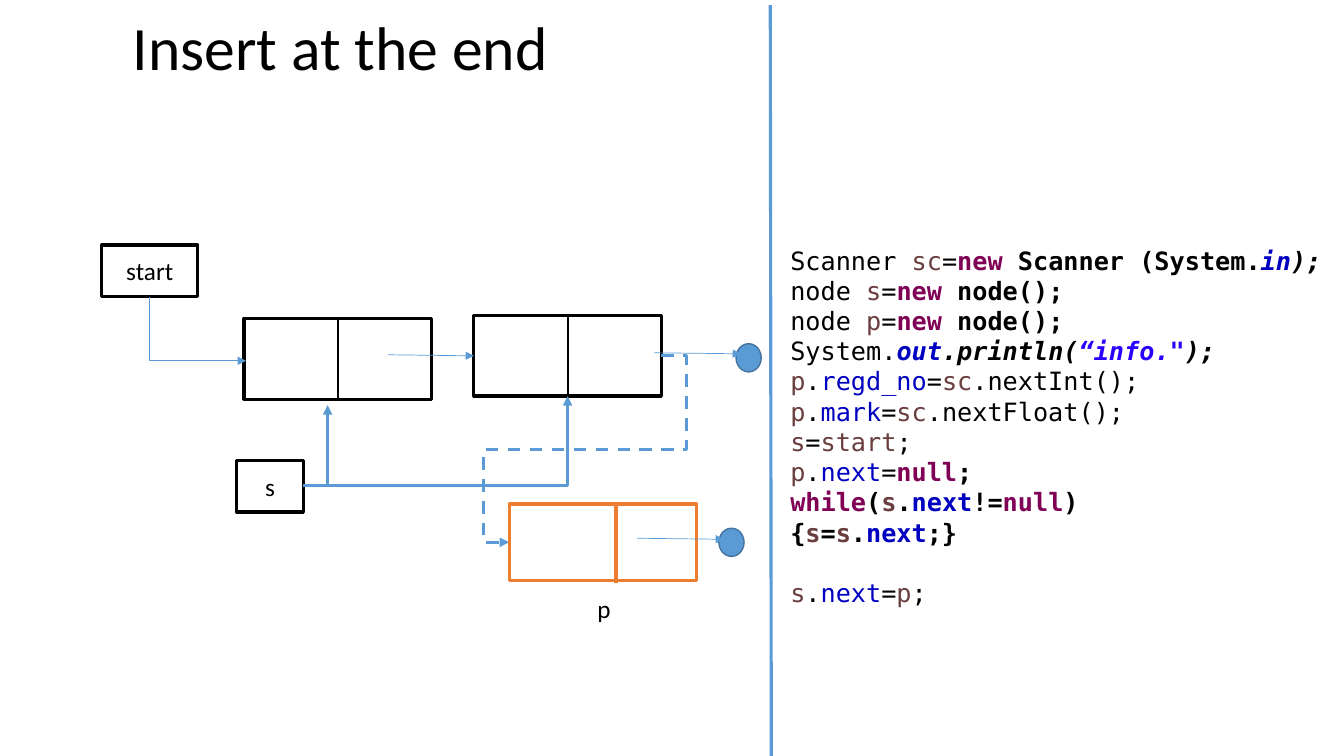
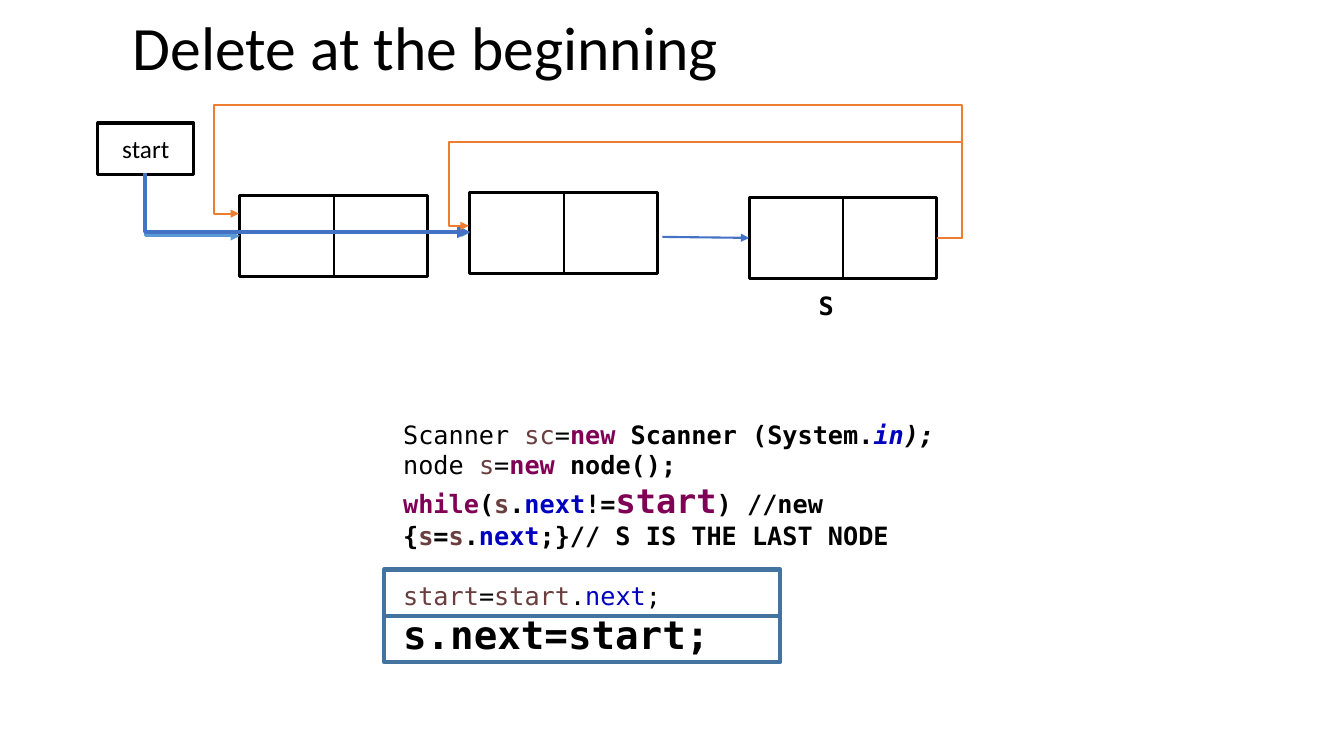
from dataclasses import dataclass

from lxml import etree
from pptx import Presentation
from pptx.dml.color import RGBColor
from pptx.enum.dml import MSO_LINE
from pptx.enum.shapes import MSO_CONNECTOR, MSO_SHAPE
from pptx.enum.text import MSO_ANCHOR, MSO_AUTO_SIZE, PP_ALIGN
from pptx.oxml.ns import qn
from pptx.util import Inches, Pt

RECTANGLE, OVAL = MSO_SHAPE.RECTANGLE, MSO_SHAPE.OVAL
STRAIGHT, ELBOW = MSO_CONNECTOR.STRAIGHT, MSO_CONNECTOR.ELBOW
DASH = MSO_LINE.DASH
MIDDLE, CENTER = MSO_ANCHOR.MIDDLE, PP_ALIGN.CENTER
GROW = MSO_AUTO_SIZE.SHAPE_TO_FIT_TEXT


@dataclass(frozen=True)
class Theme:
    black: str = "000000"
    white: str = "FFFFFF"
    sky: str = "5B9BD5"
    steel: str = "43739E"
    blue: str = "4472C4"
    orange: str = "ED7D31"
    variable: str = "6A3E3E"
    keyword: str = "7F0055"
    field: str = "0000C0"
    string: str = "2A00FF"
    body_font: str = "Calibri"
    code_font: str = "DejaVu Sans Mono"
    title_size: int = 44
    text_size: int = 18
    large_size: int = 24
    final_size: int = 28
    code_gap: float = 21.6
    hairline: float = 0.5
    thin: float = 1.5
    medium: float = 2.25
    thick: float = 3


THEME = Theme()

# Code content: each piece is (text, colour name, emphasis, optional size)
SCANNER = [("Scanner ", "black", ""), ("sc", "variable", ""), ("=", "black", ""),
           ("new", "keyword", "b"), (" Scanner (System.", "black", "b"),
           ("in", "field", "bi"), (");", "black", "bi")]


def new_node(name):
    return [("node ", "black", ""), (name, "variable", ""), ("=", "black", ""),
            ("new", "keyword", "b"), (" node();", "black", "b")]


def read_field(field, call):
    return [("p", "variable", ""), (".", "black", ""), (field, "field", ""),
            ("=", "black", ""), ("sc", "variable", ""), (call, "black", "")]


def while_next(*ending):
    return [("while", "keyword", "b"), ("(", "black", "b"), ("s", "variable", "b"),
            (".", "black", "b"), ("next", "field", "b"), ("!=", "black", "b"), *ending]


def step_forward(ending):
    return [("{", "black", "b"), ("s", "variable", "b"), ("=", "black", "b"),
            ("s", "variable", "b"), (".", "black", "b"), ("next", "field", "b"),
            (ending, "black", "b")]


INSERT_CODE = [
    SCANNER,
    new_node("s"),
    new_node("p"),
    [("System.", "black", ""), ("out", "field", "bi"), (".println(", "black", "bi"),
     ("“info.\"", "string", "bi"), (");", "black", "bi")],
    read_field("regd_no", ".nextInt();"),
    read_field("mark", ".nextFloat();"),
    [("s", "variable", ""), ("=", "black", ""), ("start", "variable", ""), (";", "black", "")],
    [("p", "variable", ""), (".", "black", ""), ("next", "field", ""), ("=", "black", ""),
     ("null", "keyword", "b"), (";", "black", "b")],
    while_next(("null", "keyword", "b"), (")", "black", "b")),
    step_forward(";}"),
    [("s", "variable", ""), (".", "black", ""), ("next", "field", ""), ("=", "black", ""),
     ("p", "variable", ""), (";", "black", "")],
]
DELETE_CODE = [
    SCANNER,
    new_node("s"),
    while_next(("start", "keyword", "b", THEME.large_size), (") //new", "black", "b")),
    step_forward(";}// S IS THE LAST NODE"),
    [("start", "variable", ""), ("=", "black", ""), ("start", "variable", ""),
     (".", "black", ""), ("next", "field", ""), (";", "black", "")],
    [("s.next=start;", "black", "b", THEME.final_size)],
]

# Diagram content, in inches
NODE_SIZE, NEW_NODE_SIZE = (1.86, 0.8), (1.86, 0.76)
START_SIZE, LABEL_SIZE = (0.95, 0.51), (0.66, 0.51)
END_DOT_SIZE = (0.25, 0.28)
HIGHLIGHT_SIZE = (3.93, 0.46)

INSERT_NODES = [(2.42, 3.16), (4.7, 3.13)]
INSERT_LINKS = [((3.85, 3.52), (4.7, 3.53)), ((6.49, 3.5), (7.35, 3.51)),
                ((6.32, 5.34), (7.18, 5.35))]
INSERT_DOTS = [(7.3, 3.41), (7.13, 5.24)]
POINTER_ENDS = [(3.25, 4.02), (5.63, 3.93)]

DELETE_NODES = [(2.38, 1.94), (4.66, 1.91), (7.43, 1.96)]
DELETE_LINKS = [((3.81, 2.3), (4.66, 2.31), THEME.sky, THEME.hairline),
                ((6.57, 2.35), (7.43, 2.36), THEME.blue, THEME.thin)]
START_LINKS = [((1.44, 1.73), (2.38, 2.34), THEME.sky, THEME.medium),
               ((1.44, 1.72), (4.66, 2.3), THEME.blue, THEME.thick)]
RETURN_LINKS = [((2.37, 2.12), (9.54, 1.04, 2.12)), ((4.65, 2.24), (9.54, 1.41, 4.45))]
HIGHLIGHTS = [(3.81, 5.65), (3.81, 6.11)]


# Shapes and text
def color(value):
    return RGBColor.from_string(value)


def style_font(font, size, name=THEME.body_font):
    font.name, font.size, font.color.rgb = name, Pt(size), color(THEME.black)


def add_box(slide, at, size, fill=THEME.white, line=THEME.black, width=THEME.medium,
            text="", kind=RECTANGLE):
    shape = slide.shapes.add_shape(kind, *map(Inches, at + size))
    shape.shadow.inherit = False
    if fill:
        shape.fill.solid()
        shape.fill.fore_color.rgb = color(fill)
    else:
        shape.fill.background()
    if line:
        shape.line.color.rgb = color(line)
        shape.line.width = Pt(width)
    else:
        shape.line.fill.background()
    if text:
        shape.text_frame.vertical_anchor = MIDDLE
        paragraph = shape.text_frame.paragraphs[0]
        paragraph.text, paragraph.alignment = text, CENTER
        style_font(paragraph.font, THEME.text_size)


def add_text(slide, at, size, text, points, name=THEME.body_font, wrap=True):
    frame = slide.shapes.add_textbox(*map(Inches, at + size)).text_frame
    frame.word_wrap = wrap
    paragraph = frame.paragraphs[0]
    paragraph.text = text
    style_font(paragraph.font, points, name)
    return paragraph


def add_code(slide, at, size, lines, gap_before):
    frame = slide.shapes.add_textbox(*map(Inches, at + size)).text_frame
    frame.word_wrap, frame.auto_size = True, GROW
    for index, pieces in enumerate(lines):
        paragraph = frame.add_paragraph() if index else frame.paragraphs[0]
        style_font(paragraph.font, THEME.text_size, THEME.code_font)
        if index == gap_before:
            paragraph.space_before = Pt(THEME.code_gap)
        for text, color_name, emphasis, *run_size in pieces:
            run = paragraph.add_run()
            run.text = text
            run.font.color.rgb = color(getattr(THEME, color_name))
            run.font.bold, run.font.italic = "b" in emphasis, "i" in emphasis
            if run_size:
                run.font.size = Pt(run_size[0])


# Lines and arrows
def add_line(slide, start, end, line, width, arrow=True, kind=STRAIGHT):
    connector = slide.shapes.add_connector(kind, *map(Inches, start + end))
    connector.line.color.rgb = color(line)
    connector.line.width = Pt(width)
    properties = connector.element.spPr
    if arrow:
        etree.SubElement(properties.find(qn("a:ln")), qn("a:tailEnd"), type="triangle")
    etree.SubElement(properties, qn("a:effectLst"))
    return connector


def set_bends(connector, preset, adjustments=()):
    geometry = connector.element.spPr.find(qn("a:prstGeom"))
    geometry.set("prst", preset)
    guides = geometry.find(qn("a:avLst"))
    for number, share in enumerate(adjustments, 1):
        etree.SubElement(guides, qn("a:gd"), name=f"adj{number}",
                         fmla=f"val {round(share * 100000)}")


def add_corner(slide, start, end, line, width, down_first=False):
    if down_first:
        # A quarter turn about the centre makes the first leg vertical
        center_x, center_y = (start[0] + end[0]) / 2, (start[1] + end[1]) / 2
        half_x, half_y = (end[0] - start[0]) / 2, (end[1] - start[1]) / 2
        start = (center_x + half_y, center_y - half_x)
        end = (center_x - half_y, center_y + half_x)
    connector = add_line(slide, start, end, line, width, kind=ELBOW)
    set_bends(connector, "bentConnector2")
    if down_first:
        connector.element.spPr.find(qn("a:xfrm")).set("rot", str(270 * 60000))


def add_detour(slide, start, end, bends, line, width):
    first_x, middle_y, last_x = bends
    run, rise = end[0] - start[0], end[1] - start[1]
    connector = add_line(slide, start, end, line, width, kind=ELBOW)
    set_bends(connector, "bentConnector5",
              ((first_x - start[0]) / run, (middle_y - start[1]) / rise,
               (last_x - start[0]) / run))
    return connector


def add_node(slide, at):
    add_box(slide, at, NODE_SIZE)
    middle = at[0] + NODE_SIZE[0] / 2
    add_line(slide, (middle, at[1]), (middle, at[1] + NODE_SIZE[1]),
             THEME.black, THEME.thin, arrow=False)


def add_slide(presentation, title, nodes, start_at):
    slide = presentation.slides.add_slide(presentation.slide_layouts[6])
    heading = add_text(slide, (1.22, 0.12), (11.5, 1.11), title, THEME.title_size)
    heading.line_spacing = 0.9
    for node in nodes:
        add_node(slide, node)
    add_box(slide, start_at, START_SIZE, text="start")
    return slide


presentation = Presentation()
presentation.slide_width, presentation.slide_height = Inches(13.33), Inches(7.5)

# Slide 1: insert at the end
slide = add_slide(presentation, "Insert at the end", INSERT_NODES, (1.01, 2.43))
add_corner(slide, (1.48, 2.95), (2.44, 3.58), THEME.sky, THEME.hairline, down_first=True)
add_line(slide, (7.64, 0.05), (7.65, 7.55), THEME.sky, THEME.medium, arrow=False)
new_link = add_detour(slide, (6.56, 3.53), (5.05, 5.38), (6.81, 4.46, 4.8),
                      THEME.sky, THEME.medium)
new_link.line.dash_style = DASH
add_box(slide, (2.35, 4.57), LABEL_SIZE, text="s")
for pointer_end in POINTER_ENDS:
    add_corner(slide, (3.01, 4.82), pointer_end, THEME.sky, THEME.medium)
add_box(slide, (5.66, 5.78), LABEL_SIZE, line=None, text="p")
for dot in INSERT_DOTS:
    add_box(slide, dot, END_DOT_SIZE, THEME.sky, THEME.steel, 1, kind=OVAL)
add_box(slide, (5.05, 5), NEW_NODE_SIZE, line=THEME.orange)
add_line(slide, (6.11, 5.02), (6.11, 5.78), THEME.orange, THEME.medium, arrow=False)
for link_start, link_end in INSERT_LINKS:
    add_line(slide, link_start, link_end, THEME.sky, THEME.hairline)
add_code(slide, (7.74, 2.38), (6.67, 4.04), INSERT_CODE, gap_before=10)

# Slide 2: delete at the beginning
slide = add_slide(presentation, "Delete at the beginning", DELETE_NODES, (0.97, 1.22))
for link in DELETE_LINKS:
    add_line(slide, *link)
for link in START_LINKS:
    add_corner(slide, *link, down_first=True)
for link_end, bends in RETURN_LINKS:
    add_detour(slide, (9.29, 2.36), link_end, bends, THEME.orange, THEME.thin)
last_label = add_text(slide, (8.02, 2.83), (0.34, 0.4), "S", THEME.text_size,
                      THEME.code_font, wrap=False)
last_label.font.bold = True
add_code(slide, (3.9, 4.11), (6.67, 3.1), DELETE_CODE, gap_before=4)
for highlight in HIGHLIGHTS:
    add_box(slide, highlight, HIGHLIGHT_SIZE, None, THEME.steel, THEME.thick)

presentation.save("out.pptx")
